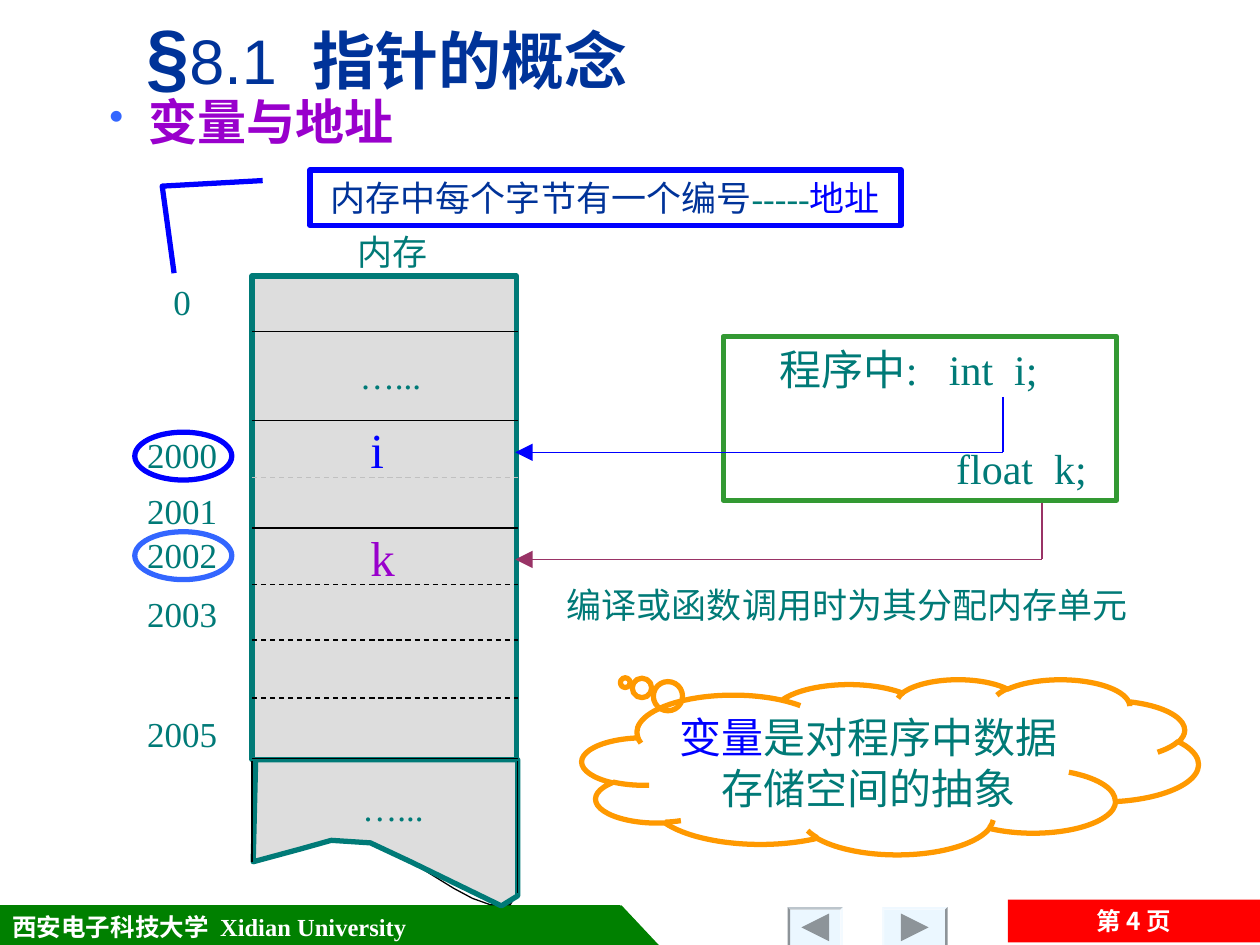
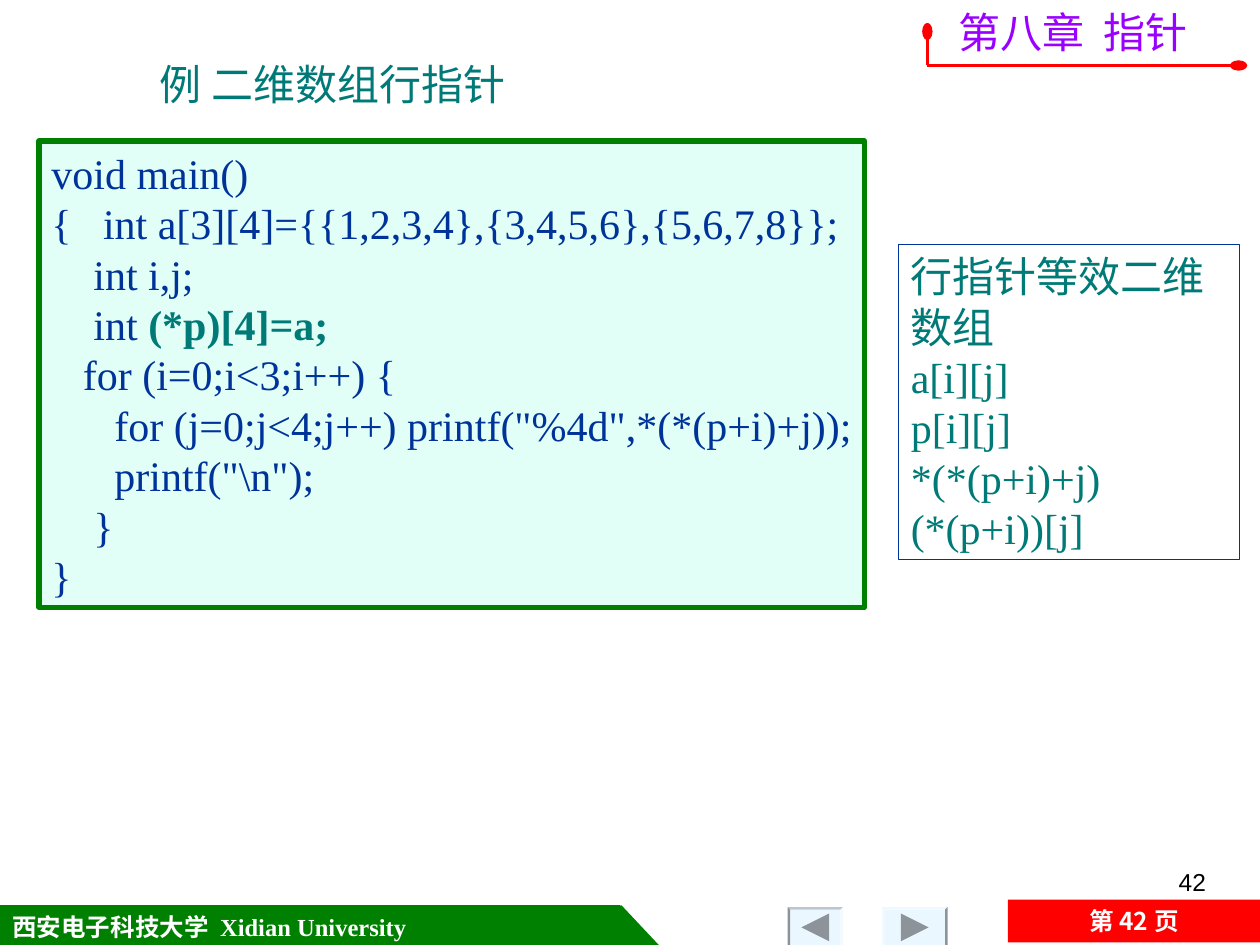
from lxml.etree import SubElement
from pptx import Presentation
from pptx.dml.color import RGBColor
from pptx.enum.dml import MSO_LINE
from pptx.enum.shapes import MSO_CONNECTOR, MSO_SHAPE
from pptx.enum.text import MSO_ANCHOR, PP_ALIGN
from pptx.oxml.ns import qn
from pptx.util import Inches, Pt

COLORS = {
    "teal": "007A77", "navy": "003399", "blue": "0000FF", "sky": "3366FF",
    "purple": "9900CC", "violet": "9900FF", "plum": "993366", "orange": "FF9900",
    "green": "008000", "leaf": "339933", "mint": "E1FFF7", "red": "FF0000",
    "memory": "DDDDDD", "silver": "C0C0C0", "black": "000000", "white": "FFFFFF",
    "button": "EBF7FF", "arrow": "8D9499",
}
SERIF, SANS, CHINESE = "Times New Roman", "Arial", "Noto Sans CJK SC"
LEFT, CENTER, RIGHT = PP_ALIGN.LEFT, PP_ALIGN.CENTER, PP_ALIGN.RIGHT
TOP, MIDDLE, BOTTOM = MSO_ANCHOR.TOP, MSO_ANCHOR.MIDDLE, MSO_ANCHOR.BOTTOM

MEMORY_LEFT, MEMORY_RIGHT = 2, 4.11
ROW_LINES = [
    (2.63, "black", False), (3.34, "black", False), (3.79, "silver", True),
    (4.19, "black", False), (4.64, "black", True), (5.08, "black", True),
    (5.54, "black", True), (6.02, "black", False),
]
ADDRESSES = [("0", 2.17), ("2000", 3.39), ("2001", 3.83), ("2002", 4.18),
             ("2003", 4.65), ("2005", 5.6)]
TORN_EDGE = [(2.03, 6.03), (4.11, 6.03), (4.11, 7.11), (3.98, 7.19), (3.26, 6.84),
             (2.94, 6.69), (2.63, 6.67), (2.38, 6.74), (2.01, 6.84)]
EDGE_CURVE = [(2, 6.85), (2.38, 6.74), (2.63, 6.67), (2.94, 6.69), (3.26, 6.84),
              (3.6, 7.05), (3.75, 7.13), (3.89, 7.18), (4.05, 7.18), (4.11, 7.08)]
CODE = [
    "void main()",
    "{   int a[3][4]={{1,2,3,4},{3,4,5,6},{5,6,7,8}};",
    "    int i,j;",
    [("    int ", {}), ("(*p)[4]=a;", {"color": "teal", "bold": True})],
    "   for (i=0;i<3;i++) {",
    "      for (j=0;j<4;j++) printf(\"%4d\",*(*(p+i)+j));",
    "      printf(\"\\n\");",
    "    }",
    "}",
]
EQUIVALENTS = ["行指针等效二维数组", "a[i][j]", "p[i][j]", "*(*(p+i)+j)", "(*(p+i))[j]"]


def rgb(name):
    """Return the named colour."""
    return RGBColor.from_string(COLORS[name])


def style_font(font, size=None, color=None, name=None, bold=None):
    """Set the given properties of a font."""
    if size:
        font.size = Pt(size)
    if color:
        font.color.rgb = rgb(color)
    if name:
        font.name = name
    if bold is not None:
        font.bold = bold


def indent(para, margin, first=0):
    """Set the left margin and first-line indent of a paragraph."""
    properties = para._p.get_or_add_pPr()
    properties.set("marL", str(Inches(margin)))
    properties.set("indent", str(Inches(first)))


def add_bullet(para, color, percent):
    """Give a paragraph a coloured round bullet."""
    properties = para._p.get_or_add_pPr()
    bullet_color = SubElement(properties, qn("a:buClr"))
    SubElement(bullet_color, qn("a:srgbClr")).set("val", COLORS[color])
    SubElement(properties, qn("a:buSzPct")).set("val", str(percent * 1000))
    SubElement(properties, qn("a:buChar")).set("char", "•")


def write(shape, lines, size, color="teal", name=SERIF, bold=False, align=LEFT,
          anchor=TOP, wrap=False, bullet=None):
    """Write lines, each a string or a list of (text, overrides) spans."""
    frame = shape.text_frame
    frame.word_wrap = wrap
    frame.vertical_anchor = anchor
    for index, line in enumerate(lines):
        para = frame.paragraphs[0] if index == 0 else frame.add_paragraph()
        para.alignment = align
        if bullet:
            indent(para, 0.81, -0.31)
            add_bullet(para, bullet, 85)
        style_font(para.font, size, color, name, bold)
        for text, changes in [(line, {})] if isinstance(line, str) else line:
            span = para.add_run()
            span.text = text
            style_font(span.font, **changes)
    return frame


def paint(shape, fill=None, line=None, width=0.75):
    """Set the fill and outline of a shape and remove its shadow."""
    shape.shadow.inherit = False
    if fill:
        shape.fill.solid()
        shape.fill.fore_color.rgb = rgb(fill)
    else:
        shape.fill.background()
    if line:
        shape.line.color.rgb = rgb(line)
        shape.line.width = Pt(width)
    else:
        shape.line.fill.background()
    return shape


def add_block(page, kind, box, fill=None, line=None, width=0.75):
    """Add a preset shape at a box of inches."""
    return paint(page.shapes.add_shape(kind, *map(Inches, box)), fill, line, width)


def add_text(page, box, lines, size, **options):
    """Add a text box at a box of inches."""
    return write(page.shapes.add_textbox(*map(Inches, box)), lines, size, **options)


def add_label(page, box, text):
    """Add a small centred caption that uses the full width of its box."""
    frame = add_text(page, box, [text], 20, align=CENTER, anchor=MIDDLE)
    frame.margin_left = frame.margin_right = 0


def add_outline(page, points, closed, **colors):
    """Add a freeform through points in inches."""
    corners = [(Inches(x), Inches(y)) for x, y in points]
    builder = page.shapes.build_freeform(*corners[0])
    builder.add_line_segments(corners[1:], close=closed)
    return paint(builder.convert_to_shape(), **colors)


def add_line(page, start, end, color, width=0.75, dashed=False, head=None, tail=None):
    """Add a straight line with optional dashes and line ends."""
    line = page.shapes.add_connector(MSO_CONNECTOR.STRAIGHT, *map(Inches, start + end))
    line.line.color.rgb = rgb(color)
    line.line.width = Pt(width)
    if dashed:
        line.line.dash_style = MSO_LINE.DASH
    properties = line._element.spPr
    for tag, kind in (("a:headEnd", head), ("a:tailEnd", tail)):
        if kind:
            line_end = SubElement(properties.find(qn("a:ln")), qn(tag))
            line_end.set("type", kind)
            line_end.set("w", "lg" if kind == "triangle" else "med")
            line_end.set("len", "lg")
    SubElement(properties, qn("a:effectLst"))


def add_button(page, left, width, turn, point):
    """Add a bevelled navigation button with an arrow."""
    bevel = add_block(page, MSO_SHAPE.BEVEL, (left, 7.2, width, 0.33), "button")
    bevel.adjustments[0] = 0.06
    bevel.rotation = turn
    side = 0.22
    arrow_box = (left + (width - side) / 2, 7.25, side, side)
    add_block(page, MSO_SHAPE.ISOSCELES_TRIANGLE, arrow_box, "arrow").rotation = point


def add_page(deck, number):
    """Add a blank slide with the shared footer."""
    page = deck.slides.add_slide(deck.slide_layouts[6])
    band = add_block(page, MSO_SHAPE.RECTANGLE, (0, 7.19, 4.92, 0.33), "green", "green")
    write(band, ["西安电子科技大学  Xidian University"], 14, color="white", bold=True,
          anchor=MIDDLE, wrap=True)
    add_block(page, MSO_SHAPE.RIGHT_TRIANGLE, (4.93, 7.19, 0.31, 0.33), "green", "green")
    add_button(page, 7, 0.52, 0, 90)
    add_button(page, 6.25, 0.44, 180, 270)
    badge = add_block(page, MSO_SHAPE.RECTANGLE, (8, 7.14, 2, 0.34), "red")
    write(badge, [f"第 {number} 页"], 14, color="white", name=CHINESE, bold=True,
          align=CENTER, anchor=MIDDLE, wrap=True)
    return page


def draw_memory(page):
    """Draw the memory column with its rows, addresses and variables."""
    add_outline(page, EDGE_CURVE, False, line="black")
    add_outline(page, TORN_EDGE, True, fill="memory", line="teal", width=3)
    add_block(page, MSO_SHAPE.RECTANGLE, (MEMORY_LEFT, 2.19, 2.1, 3.84),
              "memory", "teal", 3)
    for y, color, dashed in ROW_LINES:
        add_line(page, (MEMORY_LEFT, y), (MEMORY_RIGHT, y), color, dashed=dashed)
    for x, bottom in ((MEMORY_LEFT, 6.84), (MEMORY_RIGHT, 7.09)):
        add_line(page, (x, 6.04), (x, bottom), "black")
    add_label(page, (2.74, 1.78, 0.75, 0.44), "内存")
    for left, top in ((2.76, 2.76), (2.78, 6.19)):
        add_label(page, (left, top, 0.68, 0.44), "…...")
    for address, top in ADDRESSES:
        add_label(page, (1.07, top, 0.75, 0.44), address)
    add_text(page, (2.84, 3.28, 0.31, 0.57), ["i"], 28, color="blue")
    add_text(page, (2.84, 4.14, 0.39, 0.57), ["k"], 28, color="purple")


def draw_declarations(page):
    """Draw the declarations box and the arrows to memory."""
    panel = add_block(page, MSO_SHAPE.RECTANGLE, (5.74, 2.67, 3.12, 1.3),
                      line="leaf", width=3)
    frame = write(panel, ["程序中:   int  i;", "float  k;"], 24, anchor=MIDDLE, wrap=True)
    for para, margin in zip(frame.paragraphs, (0.35, 1.75)):
        indent(para, margin)
    frame.paragraphs[1].space_before = Pt(28)
    for x, top, y, color in ((7.96, 3.15, 3.59, "blue"), (8.27, 3.99, 4.44, "plum")):
        add_line(page, (x, top), (x, y), color)
        add_line(page, (4.09, y), (x, y), color, head="triangle")


def build_concept(deck):
    """Build the slide on variables and addresses."""
    page = add_page(deck, 4)
    for top, color in ((4.22, "sky"), (3.43, "blue")):
        add_block(page, MSO_SHAPE.OVAL, (1.07, top, 0.77, 0.38), "white", color, 3)
    add_text(page, (0.27, 0.68, 3.55, 0.55), ["变量与地址"], 28, color="purple",
             name=SANS, bold=True, wrap=True, bullet="sky")
    callout = add_block(page, MSO_SHAPE.LINE_CALLOUT_2, (2.46, 1.35, 4.69, 0.44),
                        line="blue", width=3)
    for index, value in enumerate((0.19, -0.08, 0.29, -0.25, 1.86, -0.23)):
        callout.adjustments[index] = value
    note = [("内存中每个字节有一个编号", {"color": "navy"}), ("-----", {}),
            ("地址", {"color": "blue"})]
    write(callout, [note], 20, align=CENTER, anchor=MIDDLE)
    draw_memory(page)
    draw_declarations(page)
    add_text(page, (4.4, 4.58, 4.66, 0.44), ["编译或函数调用时为其分配内存单元"], 20)
    cloud = add_block(page, MSO_SHAPE.CLOUD_CALLOUT, (4.62, 5.39, 4.89, 1.39),
                      line="orange", width=3)
    cloud.adjustments[0], cloud.adjustments[1] = -0.43, -0.48
    write(cloud, [[("变量", {"color": "blue"}), ("是对程序中数据", {})],
                  "存储空间的抽象"], 24, align=CENTER)
    title = [("§", {"size": 44, "bold": True}), ("8.1  ", {}),
             ("指针的概念", {"bold": True})]
    add_text(page, (0.59, 0.21, 4.96, 0.63), [title], 36, color="navy", name=SANS,
             align=CENTER, anchor=BOTTOM, wrap=True)


def build_row_pointer(deck):
    """Build the slide with the row pointer example."""
    page = add_page(deck, 42)
    add_text(page, (7.17, 6.83, 2.5, 0.52), ["42"], 14, color="black", name=SANS,
             align=RIGHT, wrap=True)
    listing = add_block(page, MSO_SHAPE.RECTANGLE, (0.31, 1.12, 6.55, 3.7),
                        "mint", "green", 3)
    write(listing, CODE, 24, color="navy")
    add_text(page, (1.17, 0.42, 8.5, 0.49), ["例 二维数组行指针"], 24, name=SANS,
             anchor=BOTTOM, wrap=True)
    add_text(page, (7.51, 0, 2.2, 0.5), ["第八章  指针"], 24, color="violet", name=CHINESE)
    add_line(page, (7.36, 0.25), (7.36, 0.52), "red", 1.5, head="oval")
    add_line(page, (7.36, 0.52), (9.83, 0.52), "red", 1.5, tail="oval")
    summary = add_block(page, MSO_SHAPE.RECTANGLE, (7.13, 1.94, 2.71, 2.5), line="navy")
    write(summary, EQUIVALENTS, 24, wrap=True)


def main():
    """Build and save the deck."""
    deck = Presentation()
    deck.slide_width, deck.slide_height = Inches(10), Inches(7.5)
    build_concept(deck)
    build_row_pointer(deck)
    deck.save("out.pptx")


if __name__ == "__main__":
    main()
